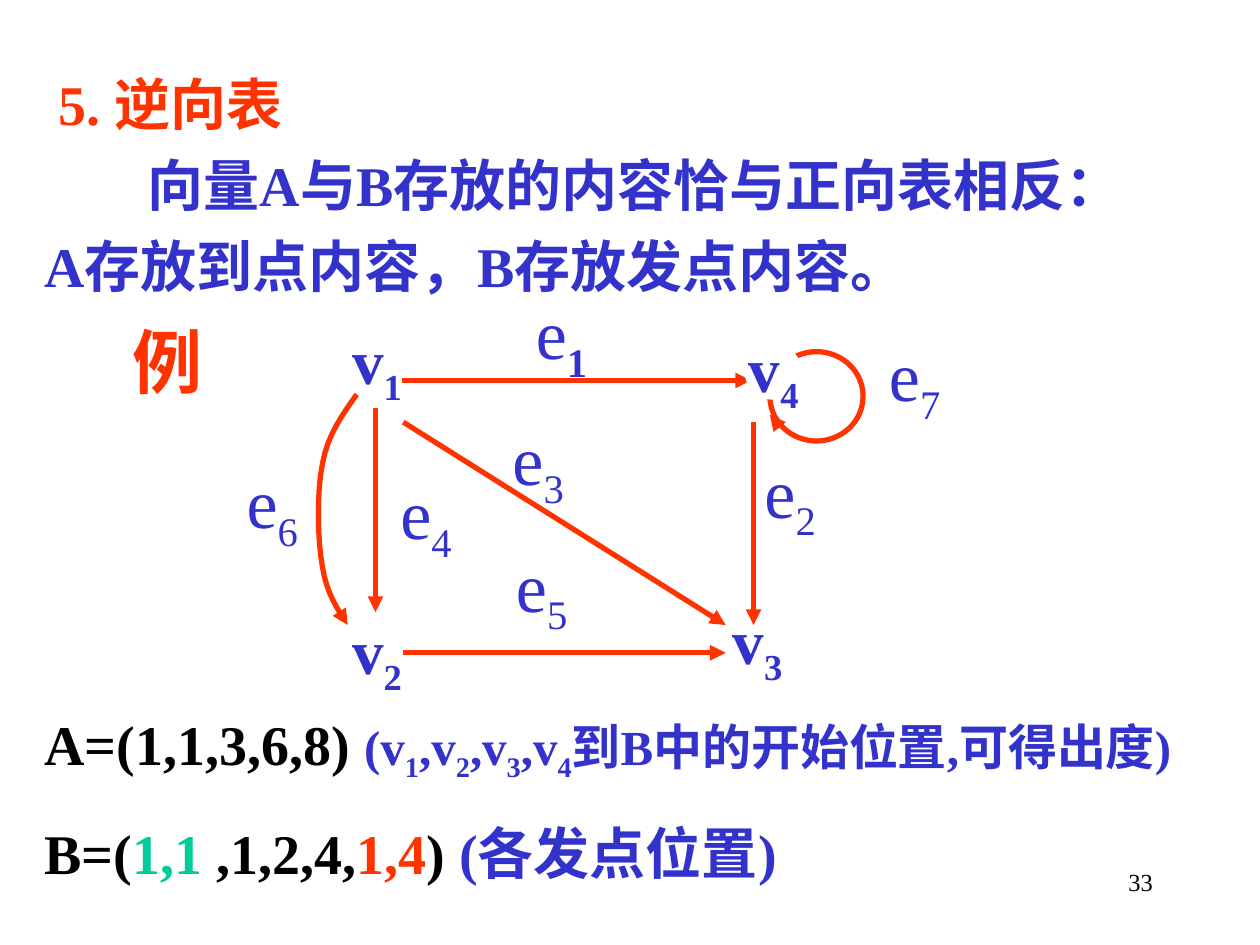
from dataclasses import dataclass
from pptx import Presentation
from pptx.dml.color import RGBColor as RGB
from pptx.enum.shapes import MSO_CONNECTOR as CONN, MSO_SHAPE as SHAPE
from pptx.enum.text import MSO_ANCHOR as ANCHOR, MSO_AUTO_SIZE as AUTO, PP_ALIGN as ALIGN
from pptx.oxml.ns import qn
from pptx.util import Cm, Pt
from lxml.etree import SubElement


@dataclass(frozen=True)
class Theme:
    font: str = "Times New Roman"
    blue: RGB = RGB(0x33, 0x33, 0xCC)
    red: RGB = RGB(0xFF, 0x33, 0x00)
    green: RGB = RGB(0x00, 0xCC, 0x99)
    black: RGB = RGB(0, 0, 0)
    white: RGB = RGB(0xFF, 0xFF, 0xFF)
    body: Pt = Pt(32)
    note: Pt = Pt(28)
    node: Pt = Pt(36)
    edge: Pt = Pt(40)
    number: Pt = Pt(14)
    stroke: Pt = Pt(3)


T = Theme()


def write(p, runs, size, color, bold=True, **para):
    for name, value in para.items():
        setattr(p, name, value)
    for text, *change in runs:
        fmt = {"name": T.font, "size": size, "bold": bold}
        change = change[0] if change else {}
        r = p.add_run()
        r.text = text
        for name, value in (fmt | change).items():
            if name not in ("color", "sub"):
                setattr(r.font, name, value)
        r.font.color.rgb = change.get("color", color)
        if change.get("sub"):
            r._r.get_or_add_rPr().set("baseline", "-25000")


def stroke(line, arrow=True):
    line.color.rgb = T.red
    line.width = T.stroke
    if arrow:
        SubElement(line._get_or_add_ln(), qn("a:tailEnd"), type="triangle")


prs = Presentation()
prs.slide_width, prs.slide_height = Cm(25.4), Cm(19.05)
s = prs.slides.add_slide(prs.slide_layouts[1])
title = s.shapes.title._element
title.getparent().remove(title)

body = s.placeholders[1]
box = {"left": Cm(0.64), "top": Cm(1.27), "width": Cm(23.7), "height": Cm(5.28)}
for name, value in box.items():
    setattr(body, name, value)
tf = body.text_frame
tf.auto_size = AUTO.NONE
lines = [
    ("5. 逆向表", T.red, 0.28),
    ("向量A与B存放的内容恰与正向表相反：", T.blue, 2.08),
    ("A存放到点内容，B存放发点内容。", T.blue, 0),
]
for i, (text, color, indent) in enumerate(lines):
    p = tf.add_paragraph() if i else tf.paragraphs[0]
    write(p, [(text,)], T.body, color, space_before=Pt(8))
    pPr = p._p.get_or_add_pPr()
    pPr.set("marL", "0")
    pPr.set("indent", str(Cm(indent)))
    SubElement(pPr, qn("a:buNone"))

sub = {"sub": True}
vertices = [("v",) if i % 2 == 0 else (str(i // 2 + 1), sub) for i in range(8)]
note = {"size": T.note, "color": T.blue}
vector_a = [("A=(1,1,3,6,8) ",), ("(", note)]
for i in range(1, 5):
    vector_a += [("v" if i == 1 else ",v", note), (str(i), note | sub)]
vector_a.append(("到B中的开始位置,可得出度)", note))
vector_b = [
    ("B=(",), ("1,1", {"color": T.green}), (" ,1,2,4,",),
    ("1,4", {"color": T.red}), (") ",), ("(各发点位置)", {"color": T.blue}),
]
tf = s.shapes.add_textbox(Cm(0.64), Cm(14.17), Cm(23.7), Cm(5)).text_frame
tf.word_wrap = True
write(tf.paragraphs[0], vector_a, T.body, T.black, space_before=Pt(17.5))
write(tf.add_paragraph(), vector_b, T.body, T.black, space_before=Pt(20))

captions = [
    ("例", 2.11, 6.3, 2.54, 1.96, T.edge, T.red, True, ALIGN.CENTER),
    ("33", 18.21, 17.35, 5.28, 1.27, T.number, T.black, False, ALIGN.RIGHT),
]
for text, x, y, w, h, size, color, bold, align in captions:
    tf = s.shapes.add_textbox(Cm(x), Cm(y), Cm(w), Cm(h)).text_frame
    tf.word_wrap = True
    write(tf.paragraphs[0], [(text,)], size, color, bold, alignment=align)

loop = s.shapes.add_shape(SHAPE.OVAL, Cm(15.52), Cm(7.09), Cm(1.88), Cm(1.8))
loop.shadow.inherit = False
loop.fill.background()
stroke(loop.line, arrow=False)

arrows = [
    (8.1, 7.67, 15.14, 7.67),
    (15.19, 8.51, 15.19, 12.6),
    (7.57, 8.23, 7.57, 12.34),
    (8.13, 13.16, 14.63, 13.16),
    (8.13, 8.51, 14.63, 12.6),
    (15.72, 8.61, 15.52, 8.36),
]
for ends in arrows:
    c = s.shapes.add_connector(CONN.STRAIGHT, *map(Cm, ends))
    stroke(c.line)
    SubElement(c._element.spPr, qn("a:effectLst"))

bends = [
    ((7.19, 7.95), (6.91, 8.36), (6.6, 8.76), (6.5, 9.35)),
    ((6.5, 9.35), (6.38, 9.93), (6.4, 10.9), (6.5, 11.43)),
    ((6.5, 11.43), (6.58, 11.96), (6.81, 12.29), (7.01, 12.6)),
]
steps = 8
points = []
for bend in bends:
    for k in range(1, steps + 1):
        t = k / steps
        weights = ((1 - t) ** 3, 3 * t * (1 - t) ** 2, 3 * t * t * (1 - t), t ** 3)
        points.append(tuple(Cm(sum(w * q[axis] for w, q in zip(weights, bend))) for axis in (0, 1)))
builder = s.shapes.build_freeform(*map(Cm, bends[0][0]))
builder.add_line_segments(points, close=False)
curve = builder.convert_to_shape()
curve.shadow.inherit = False
curve.fill.background()
stroke(curve.line)

labels = [
    ("v1", 7.6, 7.35), ("v2", 7.6, 13.2), ("v3", 15.27, 12.99), ("v4", 15.6, 7.51),
    ("e1", 11.32, 6.81), ("e2", 15.93, 10), ("e3", 10.85, 9.35), ("e4", 8.59, 10.43),
    ("e5", 10.92, 11.9), ("e6", 5.49, 10.21), ("e7", 18.44, 7.65),
]
w, h = 1.17, 1.1
for name, x, y in labels:
    sp = s.shapes.add_shape(SHAPE.OVAL, Cm(x - w / 2), Cm(y - h / 2), Cm(w), Cm(h))
    sp.shadow.inherit = False
    sp.line.fill.background()
    if name == "v4":
        sp.fill.solid()
        sp.fill.fore_color.rgb = T.white
    else:
        sp.fill.background()
    tf = sp.text_frame
    tf.word_wrap = False
    tf.vertical_anchor = ANCHOR.MIDDLE
    is_node = name[0] == "v"
    index = sub | {"bold": is_node or name == "e1"}
    write(tf.paragraphs[0], [(name[0],), (name[1], index)], T.node if is_node else T.edge,
          T.blue, is_node, alignment=ALIGN.CENTER)

prs.save("out.pptx")
